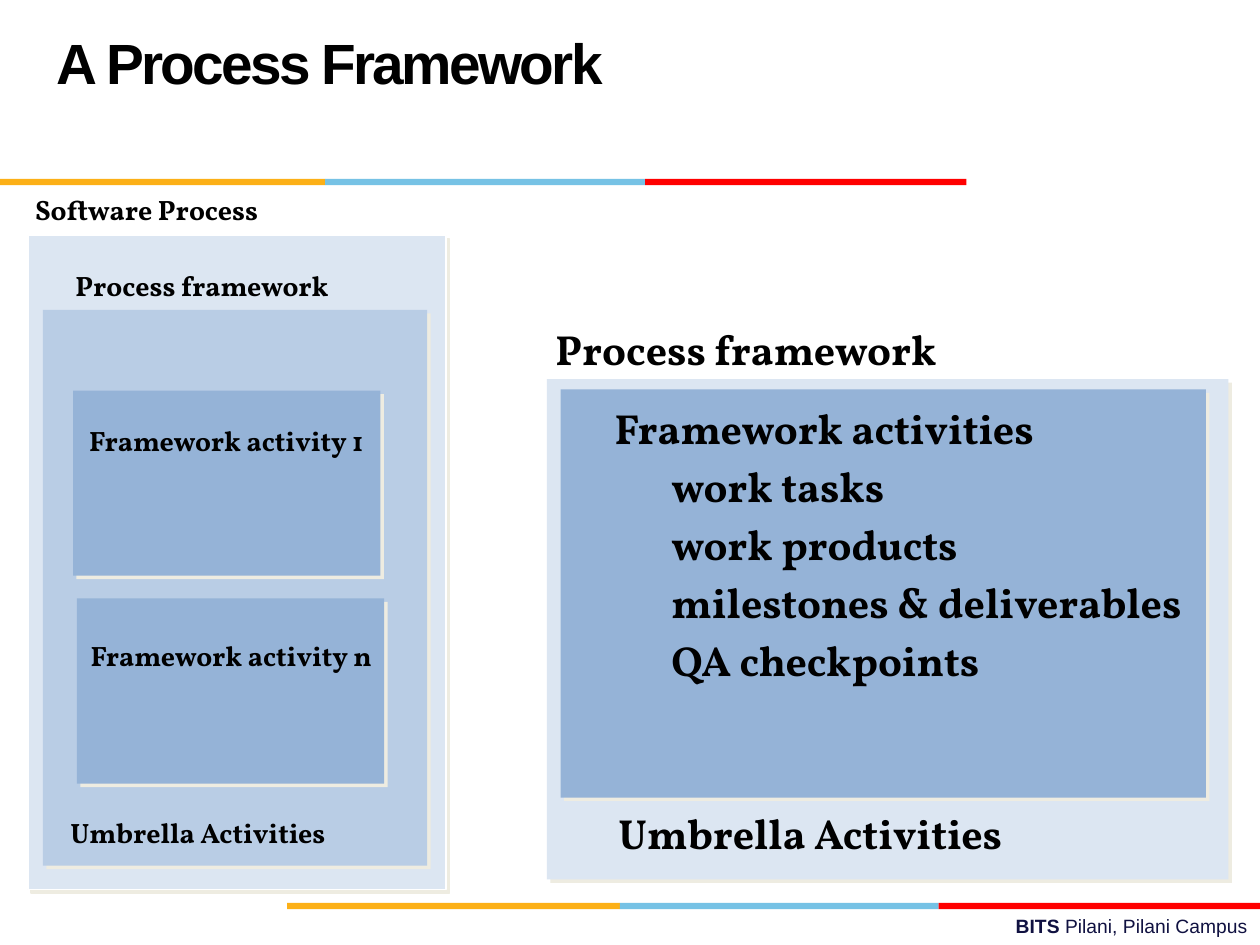
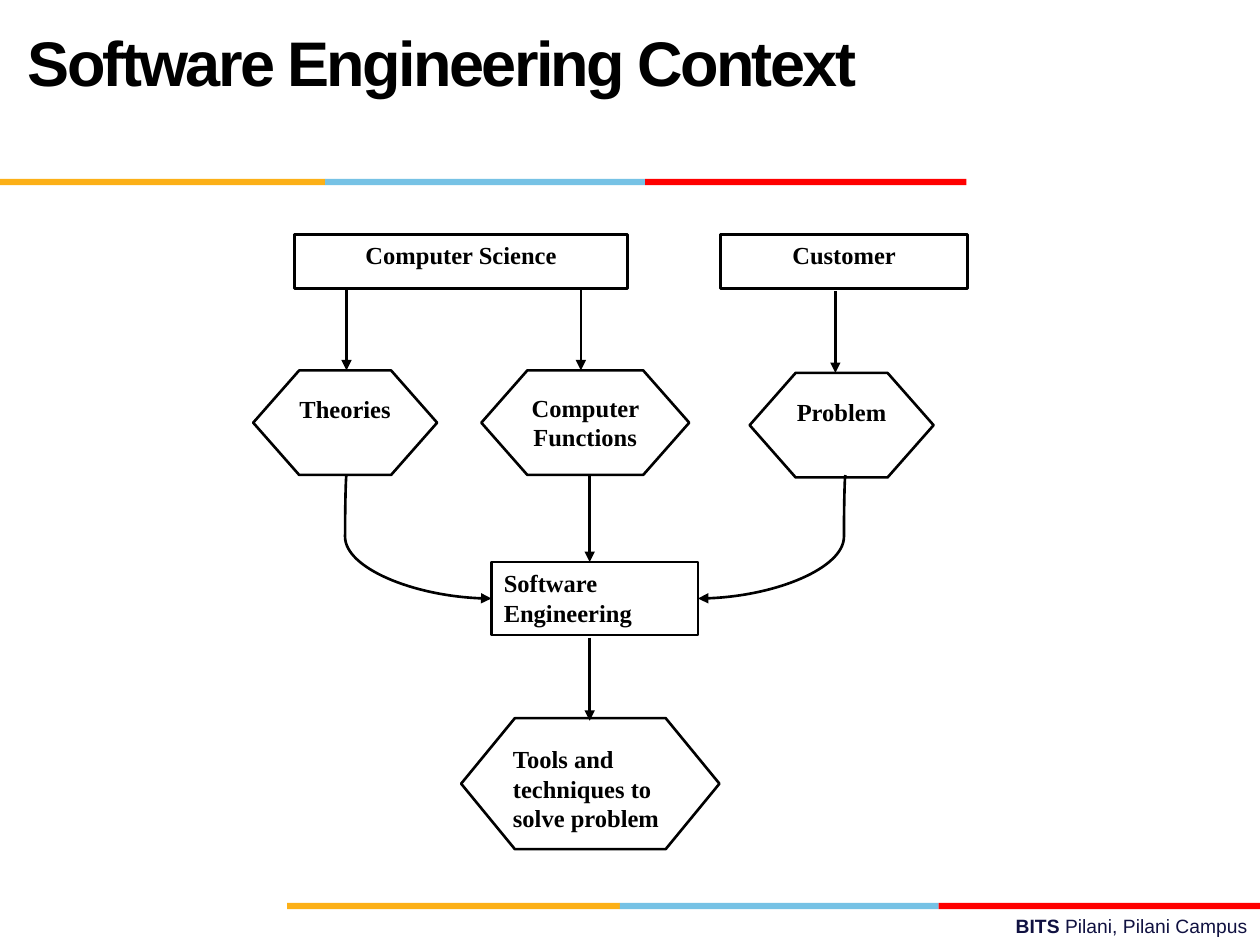
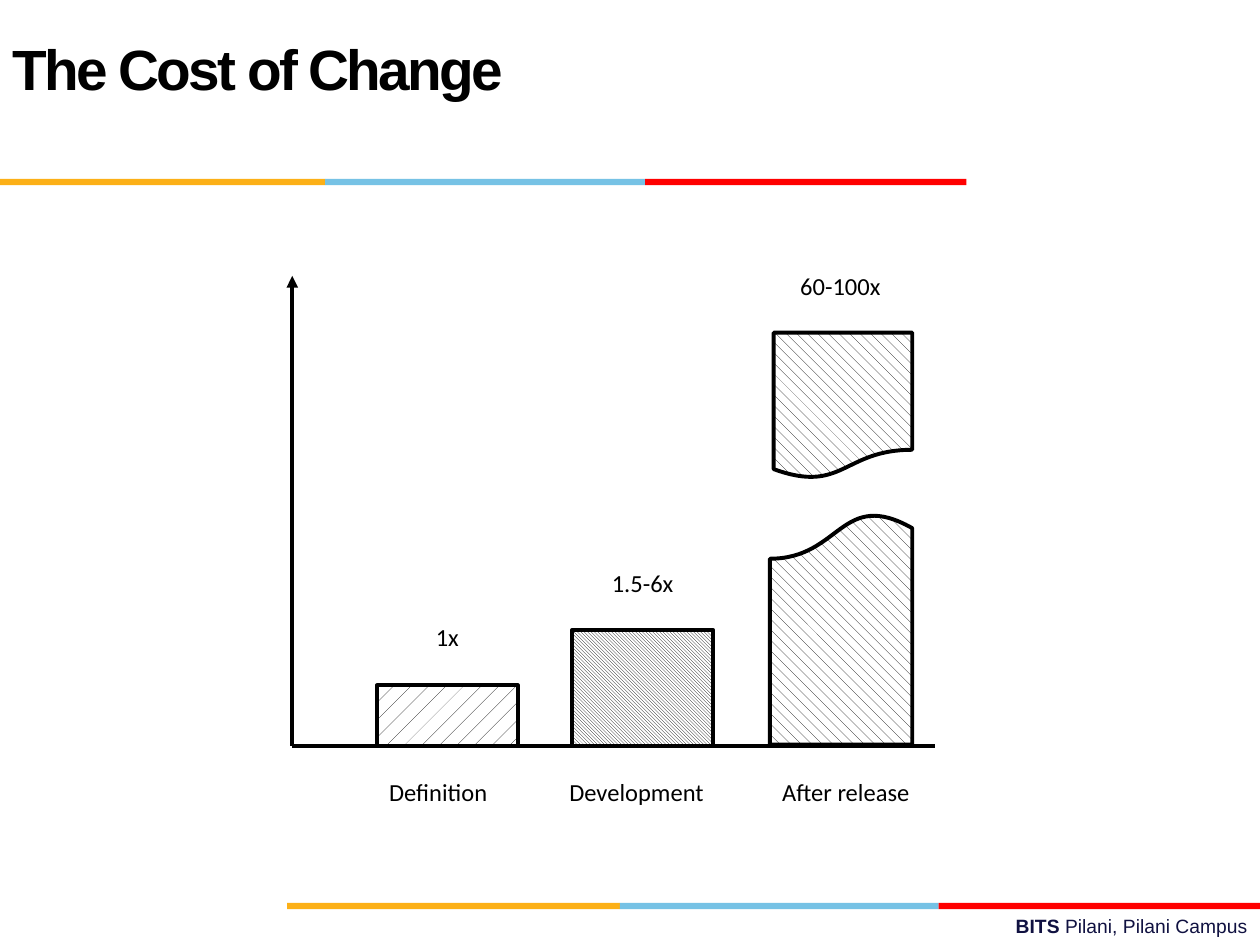
from pptx import Presentation
from pptx.dml.color import RGBColor
from pptx.enum.dml import MSO_PATTERN
from pptx.enum.shapes import MSO_CONNECTOR, MSO_SHAPE
from pptx.enum.text import MSO_ANCHOR, MSO_AUTO_SIZE, PP_ALIGN
from pptx.oxml.ns import qn
from pptx.util import Inches, Pt
from lxml import etree

RECTANGLE = MSO_SHAPE.RECTANGLE
HEXAGON = MSO_SHAPE.HEXAGON
TORN_BLOCK = MSO_SHAPE.FLOWCHART_DOCUMENT
STRAIGHT = MSO_CONNECTOR.STRAIGHT
CURVE = MSO_CONNECTOR.CURVE
LEFT, CENTER, RIGHT = PP_ALIGN.LEFT, PP_ALIGN.CENTER, PP_ALIGN.RIGHT
WIDE_DOTS = MSO_PATTERN.PERCENT_5
LIGHT_STRIPES = MSO_PATTERN.LIGHT_DOWNWARD_DIAGONAL
DASHED_STRIPES = MSO_PATTERN.DASHED_DOWNWARD_DIAGONAL

COLORS = {
    "black": "000000", "white": "FFFFFF", "navy": "101141",
    "amber": "FCB017", "sky": "76C2E5", "red": "FF0000",
    "pale": "DCE6F2", "light": "B9CDE5", "medium": "95B3D7", "shadow": "EEECE1",
}
COLUMNS = 100
ROWS = 75
TITLE_ONLY = 5
FRAMEWORK_FONT, CONTEXT_FONT, COST_FONT = "Vollkorn", "Times New Roman", "Calibri"


def color(name):
    return RGBColor.from_string(COLORS[name])


def write(frame, text, size, font, ink="black", bold=False, align=LEFT, spacing=None,
          before=0, after=0, indent=0, tracking=0, same_line=False):
    """Add text as a new paragraph, or as a run on the last line of the frame."""
    paragraph = frame.paragraphs[-1]
    if paragraph.runs and not same_line:
        paragraph = frame.add_paragraph()
    if indent:
        properties = paragraph._p.get_or_add_pPr()
        properties.set("marL", str(Inches(indent)))
        properties.set("indent", "0")
    paragraph.alignment = align
    paragraph.line_spacing = spacing
    paragraph.space_before = Pt(before)
    paragraph.space_after = Pt(after)
    run = paragraph.add_run()
    run.text = text
    run.font.size = Pt(size)
    run.font.name = font
    run.font.bold = bold
    run.font.color.rgb = color(ink)
    if tracking:
        run._r.get_or_add_rPr().set("spc", str(round(tracking * 100)))


class Deck:
    """Holds the style and the current slide; lengths are grid columns and rows."""

    def __init__(self):
        self.presentation = Presentation()
        self.presentation.slide_width = Inches(10)
        self.presentation.slide_height = Inches(7.5)
        self.slide = None

    def across(self, columns):
        return round(self.presentation.slide_width * columns / COLUMNS)

    def down(self, rows):
        return round(self.presentation.slide_height * rows / ROWS)

    def area(self, left, top, width, height):
        return self.across(left), self.down(top), self.across(width), self.down(height)

    def new_slide(self, title, area, size=32.4):
        layout = self.presentation.slide_layouts[TITLE_ONLY]
        self.slide = self.presentation.slides.add_slide(layout)
        shape = self.slide.shapes.title
        shape.left, shape.top, shape.width, shape.height = self.area(*area)
        frame = shape.text_frame
        frame.auto_size = MSO_AUTO_SIZE.NONE
        frame.vertical_anchor = MSO_ANCHOR.MIDDLE
        write(frame, title, size, "Arial", bold=True, tracking=-1.5)
        self.band((0, 25.8, 51.2, 76.7), 14.2)
        self.band((22.8, 49.2, 74.5, 100), 71.65)
        footer = self.text_box((35.8, 72.1, 64.2, 2.9))
        write(footer, "BITS ", 11, "Arial", "navy", bold=True, align=RIGHT)
        write(footer, "Pilani, Pilani Campus", 11, "Arial", "navy", align=RIGHT,
              same_line=True)

    def band(self, edges, top):
        for fill, start, end in zip(("amber", "sky", "red"), edges, edges[1:]):
            self.shape((start, top, end - start, 0.5), fill)

    def text_box(self, area):
        frame = self.slide.shapes.add_textbox(*self.area(*area)).text_frame
        frame.word_wrap = True
        return frame

    def shape(self, area, fill="white", kind=RECTANGLE, line=None, line_width=1.5,
              pattern=None):
        shape = self.slide.shapes.add_shape(kind, *self.area(*area))
        shape.shadow.inherit = False
        if pattern:
            shape.fill.patterned()
            shape.fill.pattern = pattern
            shape.fill.fore_color.rgb = color("black")
            shape.fill.back_color.rgb = color(fill)
        else:
            shape.fill.solid()
            shape.fill.fore_color.rgb = color(fill)
        if line:
            shape.line.color.rgb = color(line)
            shape.line.width = Pt(line_width)
        else:
            shape.line.fill.background()
        shape.text_frame.word_wrap = True
        shape.text_frame.vertical_anchor = MSO_ANCHOR.TOP
        return shape

    def panel(self, area, fill, line=None):
        """Draw a block with a hard shadow to the lower right."""
        shape = self.shape(area, fill, line=line, line_width=1)
        effects = shape._element.spPr.find(qn("a:effectLst"))
        shadow = etree.SubElement(effects, qn("a:outerShdw"), dist=str(Pt(2.8)),
                                  dir="2700000", algn="ctr", rotWithShape="0")
        etree.SubElement(shadow, qn("a:srgbClr"), val=COLORS["shadow"])

    def node(self, text, area, kind=RECTANGLE, slant=None, align=CENTER):
        shape = self.shape(area, kind=kind, line="black")
        if slant:
            shape.adjustments[0] = slant
        write(shape.text_frame, text, 14, CONTEXT_FONT, bold=True, align=align)

    def bar(self, area, pattern, kind=RECTANGLE):
        return self.shape(area, kind=kind, line="black", line_width=2.25, pattern=pattern)

    def label(self, text, area, align):
        write(self.shape(area).text_frame, text, 14, COST_FONT, align=align)

    def connector(self, start, end, kind=STRAIGHT, width=1.5, arrow=True, bend=None):
        """Draw a line; bend is the share of its width where a curve turns."""
        connector = self.slide.shapes.add_connector(
            kind, self.across(start[0]), self.down(start[1]),
            self.across(end[0]), self.down(end[1]))
        connector.line.color.rgb = color("black")
        connector.line.width = Pt(width)
        properties = connector._element.spPr
        if arrow:
            etree.SubElement(properties.find(qn("a:ln")), qn("a:tailEnd"), type="triangle")
        etree.SubElement(properties, qn("a:effectLst"))
        if bend is not None:
            guides = properties.find(qn("a:prstGeom")).find(qn("a:avLst"))
            etree.SubElement(guides, qn("a:gd"), name="adj1",
                             fmla=f"val {round(bend * 100000)}")


def process_framework(deck):
    deck.new_slide("A Process Framework", (3.5, 1.6, 55.2, 6.6))
    deck.panel((2.2, 18.7, 33.2, 51.9), "pale", line="white")
    deck.panel((3.4, 24.6, 30.5, 44.1), "light")
    for left, top in ((5.8, 31), (6.1, 47.5)):
        deck.panel((left, top, 24.4, 14.7), "medium")
    deck.panel((43.4, 30.1, 54.1, 39.7), "pale")
    deck.panel((44.5, 30.9, 51.2, 32.4), "medium")

    captions = (
        ("Software Process", 1.8, 14.4),
        ("Process framework", 5, 20.4),
        ("Framework activity 1", 6.1, 32.7),
        ("Framework activity n", 6.2, 49.8),
        ("Umbrella Activities", 4.6, 63.8),
    )
    for text, left, top in captions:
        write(deck.text_box((left, top, 26.5, 3.8)), text, 16, FRAMEWORK_FONT,
              bold=True, spacing=1.15)

    outline = deck.text_box((43.1, 24.6, 55.3, 44.5))
    lines = (
        ("Process framework", {"after": 12}),
        ("Framework activities", {"indent": 0.47}),
        ("work tasks", {"indent": 0.92}),
        ("work products", {"indent": 0.92}),
        ("milestones & deliverables", {"indent": 0.92}),
        ("QA checkpoints", {"indent": 0.92}),
        ("Umbrella Activities", {"indent": 0.5, "before": 66}),
    )
    for text, layout in lines:
        write(outline, text, 24, FRAMEWORK_FONT, bold=True, spacing=1.15, **layout)


def engineering_context(deck):
    deck.new_slide("Software Engineering Context", (1.2, 2.9, 69.3, 3.9), size=36)
    deck.node("Computer Science", (23.4, 18.6, 26.4, 4.3))
    deck.node("Customer", (57.2, 18.6, 19.6, 4.3))
    deck.node("Theories", (20.1, 29.4, 14.6, 8.3), HEXAGON, 0.44)
    deck.node("Computer Functions", (38.2, 29.4, 16.5, 8.3), HEXAGON, 0.44)
    deck.node("Problem", (59.5, 29.6, 14.6, 8.3), HEXAGON, 0.44)
    deck.node("Software Engineering", (39, 44.6, 16.4, 5.8), align=LEFT)
    deck.node("Tools and techniques to solve problem", (36.6, 57, 20.5, 10.4),
              HEXAGON, 0.41, LEFT)

    arrows = (
        (27.5, 22.8, 29.4, 1.5),
        (46.1, 22.8, 29.4, 1),
        (66.3, 23.1, 29.6, 1.5),
        (46.8, 37.7, 44.6, 1.5),
        (46.8, 50.6, 57.2, 1.5),
    )
    for column, top, bottom, width in arrows:
        deck.connector((column, top), (column, bottom), width=width)
    for start, end, bend in ((27.5, 39, -0.01), (67.1, 55.4, 0.01)):
        deck.connector((start, 37.7), (end, 47.5), CURVE, bend=bend)


def cost_of_change(deck):
    deck.new_slide("The Cost of Change", (0, 2.5, 49, 5.8))
    origin = (23.2, 59.2)
    deck.connector(origin, (23.2, 21.9), width=2.25)
    deck.connector(origin, (74.2, 59.2), width=2.25, arrow=False)

    deck.bar((45.4, 50, 11.2, 9.2), LIGHT_STRIPES)
    deck.bar((29.9, 54.4, 11.2, 4.8), WIDE_DOTS)
    deck.bar((61.4, 26.4, 11, 11.6), DASHED_STRIPES, TORN_BLOCK)
    lower_block = deck.bar((61.1, 40.7, 11.3, 18.4), DASHED_STRIPES, TORN_BLOCK)
    lower_block.rotation = 180

    for text, left, width in (("Definition", 29.9, 11.2), ("Development", 44.2, 13.4),
                              ("After release", 61.1, 14.6)):
        deck.label(text, (left, 61.2, width, 3), LEFT)
    for text, left, top in (("1x", 29.9, 48.9), ("1.5-6x", 45.4, 44.6),
                            ("60-100x", 61.1, 21)):
        deck.label(text, (left, top, 11.2, 3.3), CENTER)


def main():
    deck = Deck()
    process_framework(deck)
    engineering_context(deck)
    cost_of_change(deck)
    deck.presentation.save("out.pptx")


if __name__ == "__main__":
    main()
